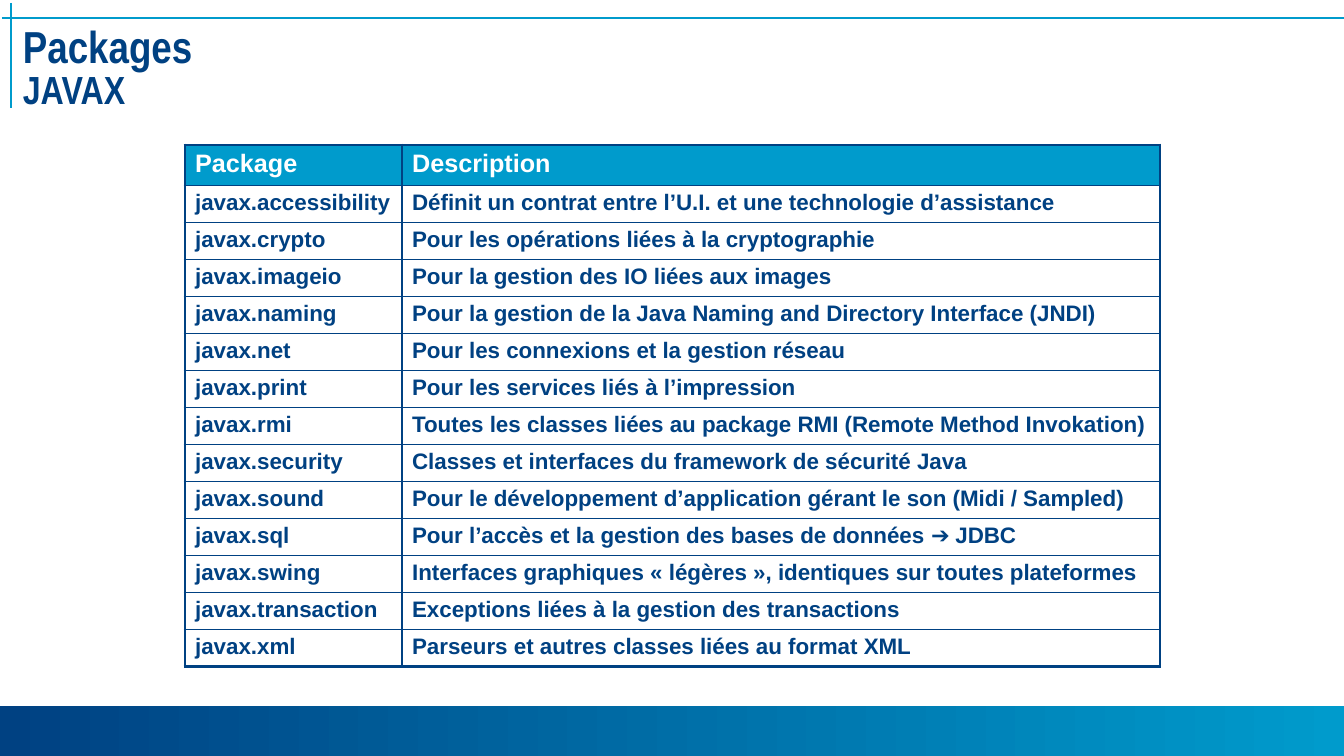
from lxml import etree
from pptx import Presentation
from pptx.dml.color import RGBColor
from pptx.enum.shapes import MSO_CONNECTOR, MSO_SHAPE
from pptx.oxml.ns import qn
from pptx.util import Emu, Pt

STRAIGHT = MSO_CONNECTOR.STRAIGHT
RECTANGLE = MSO_SHAPE.RECTANGLE
NAVY, CYAN, WHITE = "004182", "009BCC", "FFFFFF"


def px(n):
    return Emu(round(n * 914400 / 100.8))


def style(font, name, size, color):
    font.name, font.size, font.bold = name, Pt(size), True
    font.color.rgb = RGBColor.from_string(color)


prs = Presentation()
prs.slide_width, prs.slide_height = px(1344), px(756)
slide = prs.slides.add_slide(prs.slide_layouts[6])
shapes = slide.shapes

# Footer band
footer = shapes.add_shape(RECTANGLE, px(0), px(706), px(1344), px(50))
footer.shadow.inherit = False
footer.line.fill.background()
footer.fill.gradient()
footer.fill.gradient_angle = 0
for stop, color, position in zip(footer.fill.gradient_stops, (NAVY, CYAN), (0, 1)):
    stop.color.rgb = RGBColor.from_string(color)
    stop.position = position

# Crossed rules at the top left
for x1, y1, x2, y2 in [(2, 18, 1344, 18), (11, 3, 11, 108)]:
    rule = shapes.add_connector(STRAIGHT, px(x1), px(y1), px(x2), px(y2))
    rule.line.color.rgb = RGBColor.from_string(CYAN)
    rule.line.width = Pt(1)
    etree.SubElement(rule._element.spPr, qn("a:effectLst"))

# Title
title = shapes.add_textbox(px(13), px(22), px(1322), px(102)).text_frame
title.word_wrap = True
heading = title.paragraphs[0]
heading.line_spacing = 0.85
for text, size in [("Packages", 32), ("JAVAX", 28)]:
    if heading.runs:
        heading.add_line_break()
    run = heading.add_run()
    run.text = text
    style(run.font, "Arial Narrow", size, NAVY)

# Package table
packages = [
    ("Package", "Description"),
    ("javax.accessibility", "Définit un contrat entre l’U.I. et une technologie d’assistance"),
    ("javax.crypto", "Pour les opérations liées à la cryptographie"),
    ("javax.imageio", "Pour la gestion des IO liées aux images"),
    ("javax.naming", "Pour la gestion de la Java Naming and Directory Interface (JNDI)"),
    ("javax.net", "Pour les connexions et la gestion réseau"),
    ("javax.print", "Pour les services liés à l’impression"),
    ("javax.rmi", "Toutes les classes liées au package RMI (Remote Method Invokation)"),
    ("javax.security", "Classes et interfaces du framework de sécurité Java"),
    ("javax.sound", "Pour le développement d’application gérant le son (Midi / Sampled)"),
    ("javax.sql", "Pour l’accès et la gestion des bases de données ➔ JDBC"),
    ("javax.swing", "Interfaces graphiques « légères », identiques sur toutes plateformes"),
    ("javax.transaction", "Exceptions liées à la gestion des transactions"),
    ("javax.xml", "Parseurs et autres classes liées au format XML"),
]
last = len(packages) - 1
table = shapes.add_table(len(packages), 2, px(185), px(145), px(975), px(514)).table
table.columns[0].width, table.columns[1].width = px(217), px(758)

for r, entry in enumerate(packages):
    table.rows[r].height = px(38) if r == 0 else px((514 - 38) / last)
    for c, text in enumerate(entry):
        cell = table.cell(r, c)
        # Borders: thick on the outside of the table, thin inside
        outer_edges = {"L": c == 0, "R": c == 1, "T": r == 0, "B": r == last}
        for side, outer in outer_edges.items():
            border = etree.SubElement(cell._tc.get_or_add_tcPr(), qn("a:ln" + side),
                                      w=str(Pt(2.25 if outer else 1)))
            solid = etree.SubElement(border, qn("a:solidFill"))
            etree.SubElement(solid, qn("a:srgbClr"), val=NAVY)
        cell.fill.solid()
        cell.fill.fore_color.rgb = RGBColor.from_string(CYAN if r == 0 else WHITE)
        run = cell.text_frame.paragraphs[0].add_run()
        run.text = text
        style(run.font, "Arial", 18 if r == 0 else 16, WHITE if r == 0 else NAVY)

prs.save("out.pptx")
